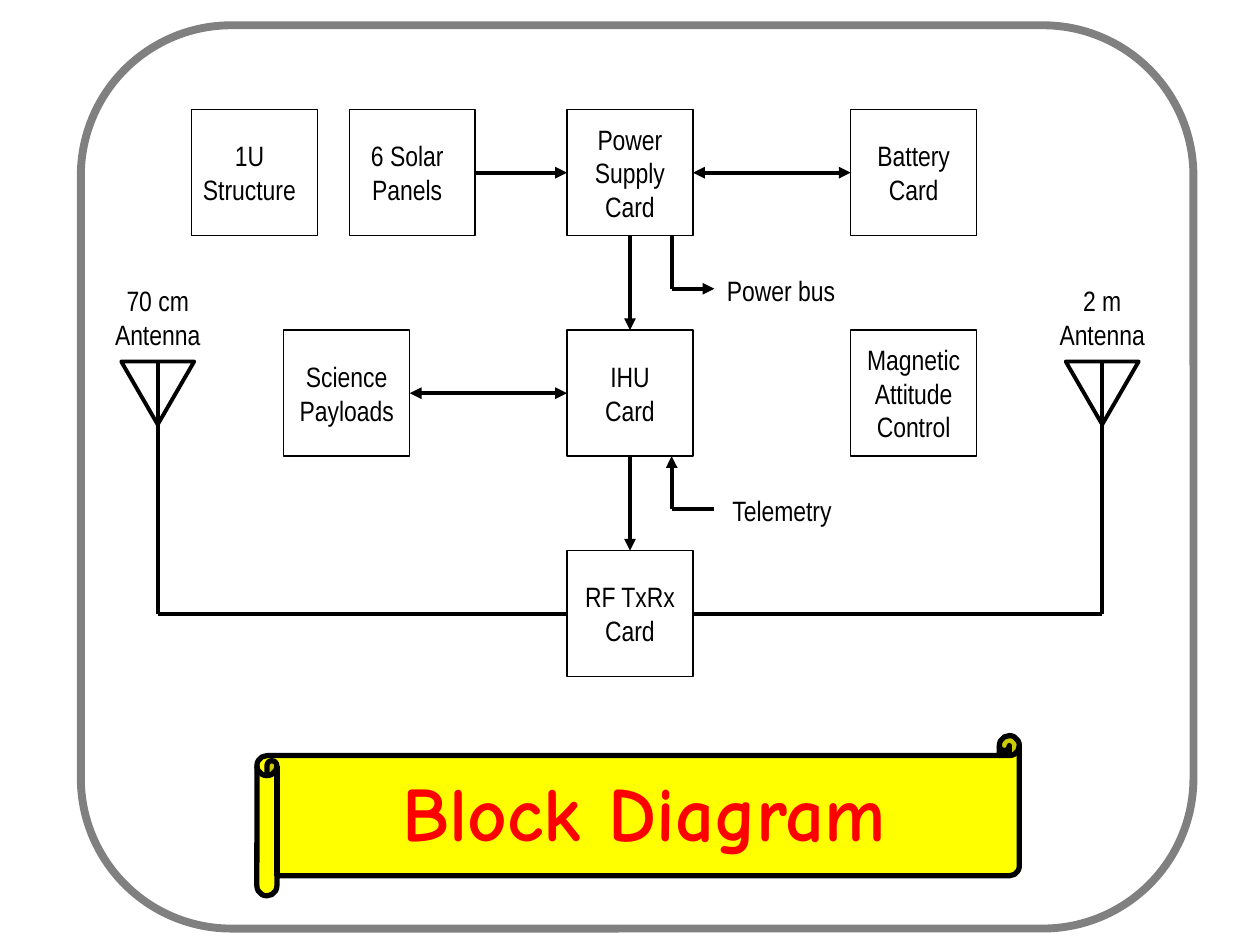
"""Build the satellite block diagram slide."""
from lxml.etree import SubElement
from pptx import Presentation
from pptx.dml.color import RGBColor
from pptx.enum.shapes import MSO_CONNECTOR, MSO_SHAPE
from pptx.enum.text import MSO_ANCHOR, PP_ALIGN
from pptx.oxml.ns import qn
from pptx.util import Cm, Pt

COLORS = {"ink": "000000", "frame": "808080", "scroll": "FFFF00", "title": "FF0000"}
BLOCK = 2.54
ROWS = [2.21 + 4.445 * row for row in range(3)]
MIDDLES = [top + BLOCK / 2 for top in ROWS]
BOTTOMS = [top + BLOCK for top in ROWS]
CORE, CORE_RIGHT, CORE_MIDDLE = 11.43, 13.97, 12.7
RIGHT_COLUMN = 17.15
BUS, BUS_END = 13.54, 14.4
BUS_LEVELS = [5.82, 10.26]
ANTENNA_TOP, ANTENNA_WIDTH, ANTENNA_HEIGHT = 7.29, 1.47, 1.27

BLOCKS = [
    ("1U\nStructure", 3.86, 0, 0.2),
    ("6 Solar\nPanels", 7.04, 0, 0.2),
    ("Power\nSupply\nCard", CORE, 0, 0),
    ("Battery\nCard", RIGHT_COLUMN, 0, 0),
    ("Science\nPayloads", 5.72, 1, 0),
    ("IHU\nCard", CORE, 1, 0),
    ("Magnetic\nAttitude\nControl", RIGHT_COLUMN, 1, 0),
    ("RF TxRx\nCard", CORE, 2, 0),
]
ANTENNAS = [("70 cm\nAntenna", 3.18, CORE), ("2 m\nAntenna", 22.22, CORE_RIGHT)]
BUS_LABELS = [("Power bus", 14.4, 5.38, 2.69), ("Telemetry", 14.48, 9.83, 2.57)]
WIRES = [
    ((9.6, MIDDLES[0]), (CORE, MIDDLES[0]), "end"),
    ((CORE_RIGHT, MIDDLES[0]), (RIGHT_COLUMN, MIDDLES[0]), "both"),
    ((5.72 + BLOCK, MIDDLES[1]), (CORE, MIDDLES[1]), "both"),
    ((CORE_MIDDLE, BOTTOMS[0]), (CORE_MIDDLE, ROWS[1]), "end"),
    ((CORE_MIDDLE, BOTTOMS[1]), (CORE_MIDDLE, ROWS[2]), "end"),
    ((BUS, BOTTOMS[0]), (BUS, BUS_LEVELS[0]), "none"),
    ((BUS, BUS_LEVELS[0]), (BUS_END, BUS_LEVELS[0]), "end"),
    ((BUS, BUS_LEVELS[1]), (BUS, BOTTOMS[1]), "end"),
    ((BUS, BUS_LEVELS[1]), (BUS_END, BUS_LEVELS[1]), "none"),
]
ARROWHEADS = {"none": [], "end": ["a:tailEnd"], "both": ["a:headEnd", "a:tailEnd"]}

presentation = Presentation()
presentation.slide_width, presentation.slide_height = Cm(25.4), Cm(19.05)
slide = presentation.slides.add_slide(presentation.slide_layouts[6])


def color(name):
    return RGBColor.from_string(COLORS[name])


def write(shape, text, *, size=16, font="Arial Narrow", ink="ink", bold=False,
          wrap=False, anchor=MSO_ANCHOR.TOP):
    frame = shape.text_frame
    frame.word_wrap = wrap
    frame.vertical_anchor = anchor
    frame.text = text
    for paragraph in frame.paragraphs:
        paragraph.alignment = PP_ALIGN.CENTER
        for run in paragraph.runs:
            run.font.size, run.font.name, run.font.bold = Pt(size), font, bold
            run.font.color.rgb = color(ink)


def add_label(text, left, top, width, height, **style):
    box = slide.shapes.add_textbox(Cm(left), Cm(top), Cm(width), Cm(height))
    write(box, text, **style)


def add_outline(kind, left, top, width, height, weight, line="ink", fill=None):
    shape = slide.shapes.add_shape(kind, Cm(left), Cm(top), Cm(width), Cm(height))
    shape.shadow.inherit = False
    if fill:
        shape.fill.solid()
        shape.fill.fore_color.rgb = color(fill)
    else:
        shape.fill.background()
    shape.line.width = Pt(weight)
    shape.line.color.rgb = color(line)
    return shape


def add_wire(start, end, arrows="none"):
    points = [Cm(value) for value in (*start, *end)]
    wire = slide.shapes.add_connector(MSO_CONNECTOR.STRAIGHT, *points)
    wire.line.width = Pt(2.25)
    wire.line.color.rgb = color("ink")
    for tag in ARROWHEADS[arrows]:
        SubElement(wire.line._get_or_add_ln(), qn(tag), type="triangle")
    SubElement(wire._element.spPr, qn("a:effectLst"))


add_outline(MSO_SHAPE.HORIZONTAL_SCROLL, 5.18, 14.83, 15.37, 3.23, 3, fill="scroll")
add_label("Block Diagram", 4.42, 15.29, 17.15, 2.13, size=44, font="Comic Neue",
          ink="title", bold=True, wrap=True)
add_outline(MSO_SHAPE.ROUNDED_RECTANGLE, 1.63, 0.51, 22.43, 18.21, 4.5, line="frame")

for text, left, row, inset in BLOCKS:
    block = add_outline(MSO_SHAPE.RECTANGLE, left, ROWS[row], BLOCK, BLOCK, 0.75)
    write(block, text, anchor=MSO_ANCHOR.MIDDLE)
    block.text_frame.margin_right = Cm(0.25 + inset)

for wire in WIRES:
    add_wire(*wire)

for text, center, card_edge in ANTENNAS:
    add_label(text, center - 1.12, 5.59, 2.24, 1.63)
    triangle = add_outline(MSO_SHAPE.ISOSCELES_TRIANGLE, center - ANTENNA_WIDTH / 2,
                           ANTENNA_TOP, ANTENNA_WIDTH, ANTENNA_HEIGHT, 2.25)
    triangle._element.spPr.xfrm.set("flipV", "1")
    add_wire((center, ANTENNA_TOP), (center, MIDDLES[2]))
    add_wire((center, MIDDLES[2]), (card_edge, MIDDLES[2]))

for text, left, top, width in BUS_LABELS:
    add_label(text, left, top, width, 0.94)

presentation.save("out.pptx")
